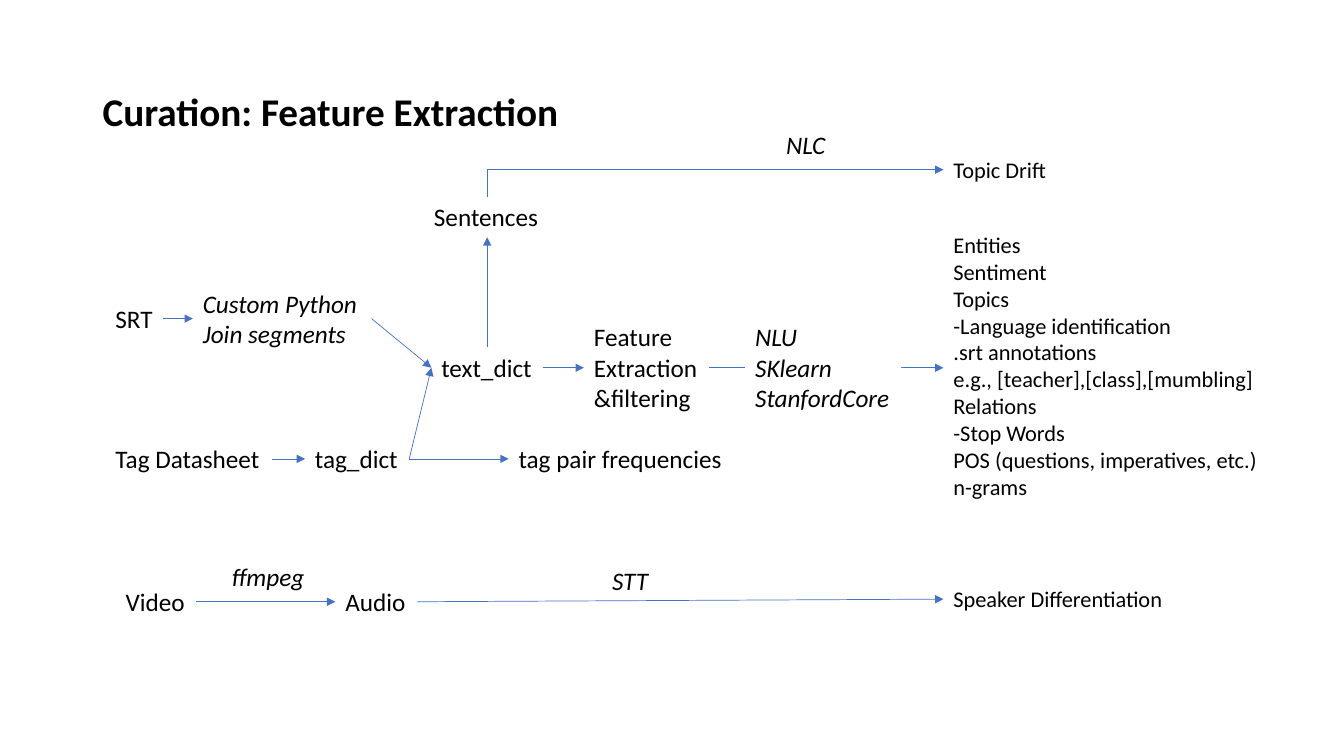
from collections import namedtuple

from lxml import etree
from pptx import Presentation
from pptx.dml.color import RGBColor
from pptx.enum.shapes import MSO_CONNECTOR
from pptx.enum.text import MSO_ANCHOR, MSO_AUTO_SIZE
from pptx.oxml.ns import qn
from pptx.util import Inches, Pt

STRAIGHT = MSO_CONNECTOR.STRAIGHT
MIDDLE = MSO_ANCHOR.MIDDLE
GROW = MSO_AUTO_SIZE.SHAPE_TO_FIT_TEXT
TOP, LEFT, BOTTOM, RIGHT = range(4)  # connection sites of a box

COLORS = {"text": "000000", "arrow": "4472C4", "background": "FFFFFF"}
WIDTH, HEIGHT = Inches(13.33), Inches(7.5)
COLUMN, ROW = WIDTH / 100, HEIGHT / 100  # the slide is a grid of 100 by 100
PADDING, LINE_HEIGHT = Inches(0.1), 1.22

# Origin and size in columns and rows
Box = namedtuple("Box", "left top width height")
RESULT_FEATURES = [
    "Entities", "Sentiment", "Topics", "-Language identification",
    ".srt annotations", "e.g., [teacher],[class],[mumbling]", "Relations",
    "-Stop Words", "POS (questions, imperatives, etc.)", "n-grams",
]


def color(name):
    return RGBColor.from_string(COLORS[name])


def write(shape, lines, **font_format):
    font_format = {"name": "Calibri", "size": Pt(18), **font_format}
    frame = shape.text_frame
    for index, line in enumerate(lines):
        paragraph = frame.add_paragraph() if index else frame.paragraphs[0]
        run = paragraph.add_run()
        run.text = line
        for attribute, value in font_format.items():
            setattr(run.font, attribute, value)
        run.font.color.rgb = color("text")


def add_label(slide, box, column, middle, columns, *lines, size=18, italic=False):
    """Place a label by its left edge and its vertical middle inside a box."""
    height = PADDING + len(lines) * Pt(size) * LINE_HEIGHT
    shape = slide.shapes.add_textbox(
        int((box.left + column) * COLUMN),
        int((box.top + middle) * ROW - height / 2),
        int(columns * COLUMN), int(height))
    shape.text_frame.word_wrap = False
    shape.text_frame.auto_size = GROW
    write(shape, lines, size=Pt(size), italic=italic)
    return shape


def style_arrow(shape):
    shape.line.color.rgb = color("arrow")
    shape.line.width = Pt(0.5)
    line = shape.line._get_or_add_ln()
    etree.SubElement(line, qn("a:tailEnd"), type="triangle")


def add_arrow(slide, start, end, start_side=RIGHT, end_side=LEFT):
    arrow = slide.shapes.add_connector(STRAIGHT, 0, 0, 0, 0)
    arrow.begin_connect(start, start_side)
    arrow.end_connect(end, end_side)
    style_arrow(arrow)
    etree.SubElement(arrow._element.spPr, qn("a:effectLst"))


def add_bent_arrow(slide, start, end):
    """Rise from the top of start, then turn right to the side of end."""
    x, y = start.left + start.width // 2, end.top + end.height // 2
    builder = slide.shapes.build_freeform(x, start.top)
    builder.add_line_segments([(x, y), (end.left, y)], close=False)
    arrow = builder.convert_to_shape()
    arrow.fill.background()
    arrow.shadow.inherit = False
    style_arrow(arrow)


def add_title(slide, box):
    shape = slide.shapes.add_textbox(
        int(box.left * COLUMN), int(box.top * ROW),
        int(box.width * COLUMN), int(box.height * ROW))
    shape.text_frame.word_wrap = True
    shape.text_frame.vertical_anchor = MIDDLE
    write(shape, ["Curation: Feature Extraction"], size=Pt(28), bold=True)
    shape.text_frame.paragraphs[0].line_spacing = 0.9


def add_results(slide, box):
    drift = add_label(slide, box, 0, 2.45, 10.6, "Topic Drift", size=16)
    features = add_label(slide, box, 0, 28.65, 24.4, *RESULT_FEATURES, size=16)
    speakers = add_label(slide, box, 0, 59.25, 17.3, "Speaker Differentiation", size=16)
    return drift, features, speakers


def add_transcript_flow(slide, box, drift, features):
    # Subtitles to text
    subtitles = add_label(slide, box, 0, 25.15, 4.3, "SRT")
    joining = add_label(slide, box, 6.5, 25.15, 13.3,
                        "Custom Python", "Join segments", italic=True)
    text_dict = add_label(slide, box, 24.25, 31.65, 8.3, "text_dict")
    extraction = add_label(slide, box, 35.6, 31.65, 9.3,
                           "Feature", "Extraction", "&filtering")
    stages = [subtitles, joining, text_dict, extraction, features]
    for start, end in zip(stages, stages[1:]):
        add_arrow(slide, start, end)

    # Tools that cover part of the last arrow
    tools = add_label(slide, box, 47.6, 31.65, 11.6,
                      "NLU", "SKlearn", "StanfordCore", italic=True)
    tools.fill.solid()
    tools.fill.fore_color.rgb = color("background")

    # Sentence branch
    sentences = add_label(slide, box, 23.7, 11.7, 9.4, "Sentences")
    add_arrow(slide, text_dict, sentences, TOP, BOTTOM)
    add_bent_arrow(slide, sentences, drift)
    add_label(slide, box, 49.9, 2.1, 4.5, "NLC", italic=True)
    return text_dict


def add_tag_flow(slide, box, text_dict):
    middle = box.height / 2
    datasheet = add_label(slide, box, 0, middle, 12.4, "Tag Datasheet")
    tag_dict = add_label(slide, box, 14.85, middle, 7.75, "tag_dict")
    frequencies = add_label(slide, box, 30, middle, 16.8, "tag pair frequencies")
    add_arrow(slide, datasheet, tag_dict)
    for target in (text_dict, frequencies):
        add_arrow(slide, tag_dict, target)


def add_media_flow(slide, box, speakers):
    video = add_label(slide, box, 0, 4.6, 6, "Video")
    audio = add_label(slide, box, 16.35, 4.6, 6.1, "Audio")
    add_arrow(slide, video, audio)
    add_arrow(slide, audio, speakers)
    add_label(slide, box, 7.9, 1.3, 7, "ffmpeg", italic=True)
    add_label(slide, box, 36.2, 1.8, 4.6, "STT", italic=True)


def main():
    presentation = Presentation()
    presentation.slide_width, presentation.slide_height = WIDTH, HEIGHT
    slide = presentation.slides.add_slide(presentation.slide_layouts[6])

    add_title(slide, Box(6.9, 5.4, 86.3, 19.3))
    drift, features, speakers = add_results(slide, Box(70.2, 20, 25, 62))
    text_dict = add_transcript_flow(slide, Box(7.85, 17, 60, 39), drift, features)
    add_tag_flow(slide, Box(7.85, 58, 47, 5.4), text_dict)
    add_media_flow(slide, Box(8.6, 75, 60, 8), speakers)
    presentation.save("out.pptx")


if __name__ == "__main__":
    main()
